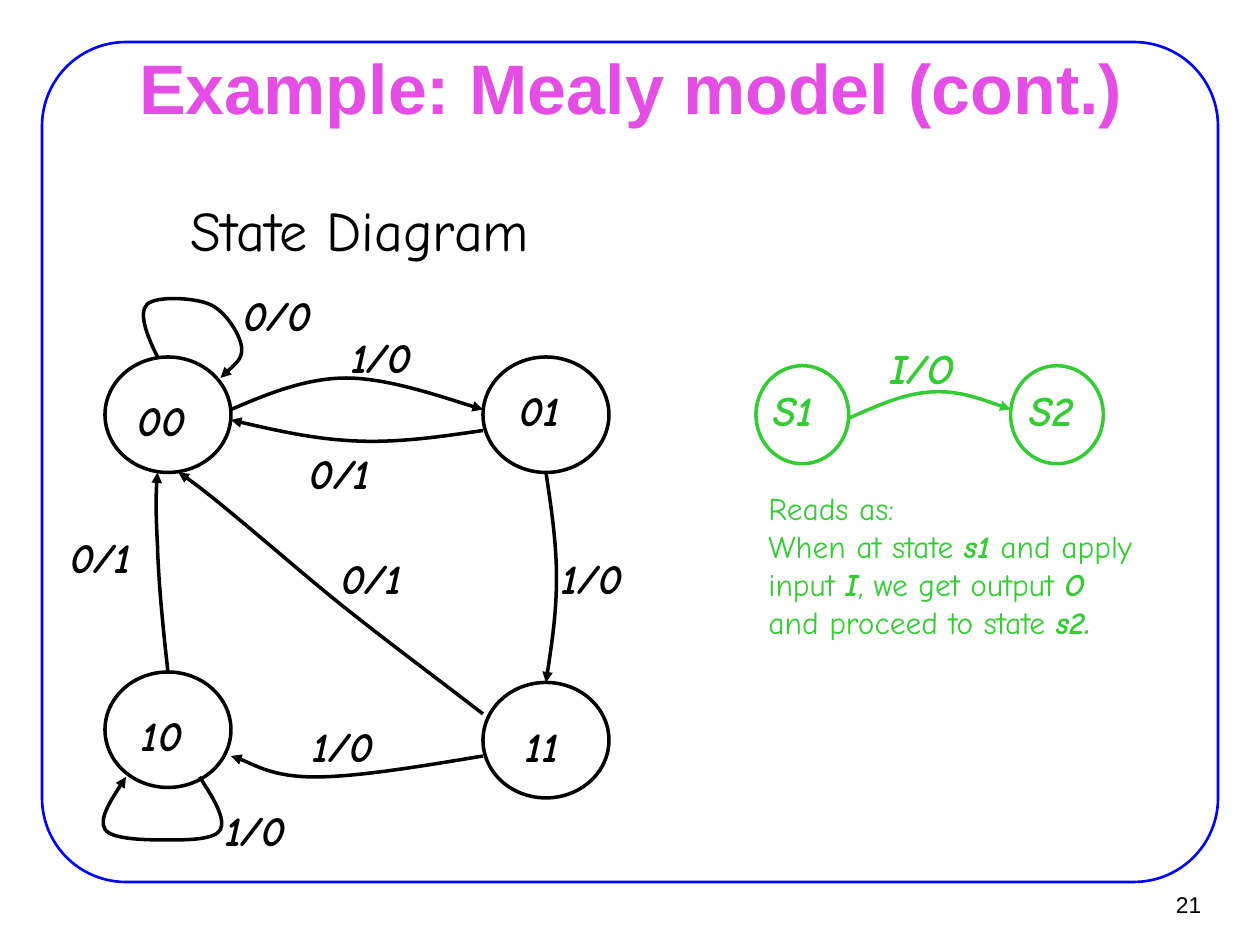
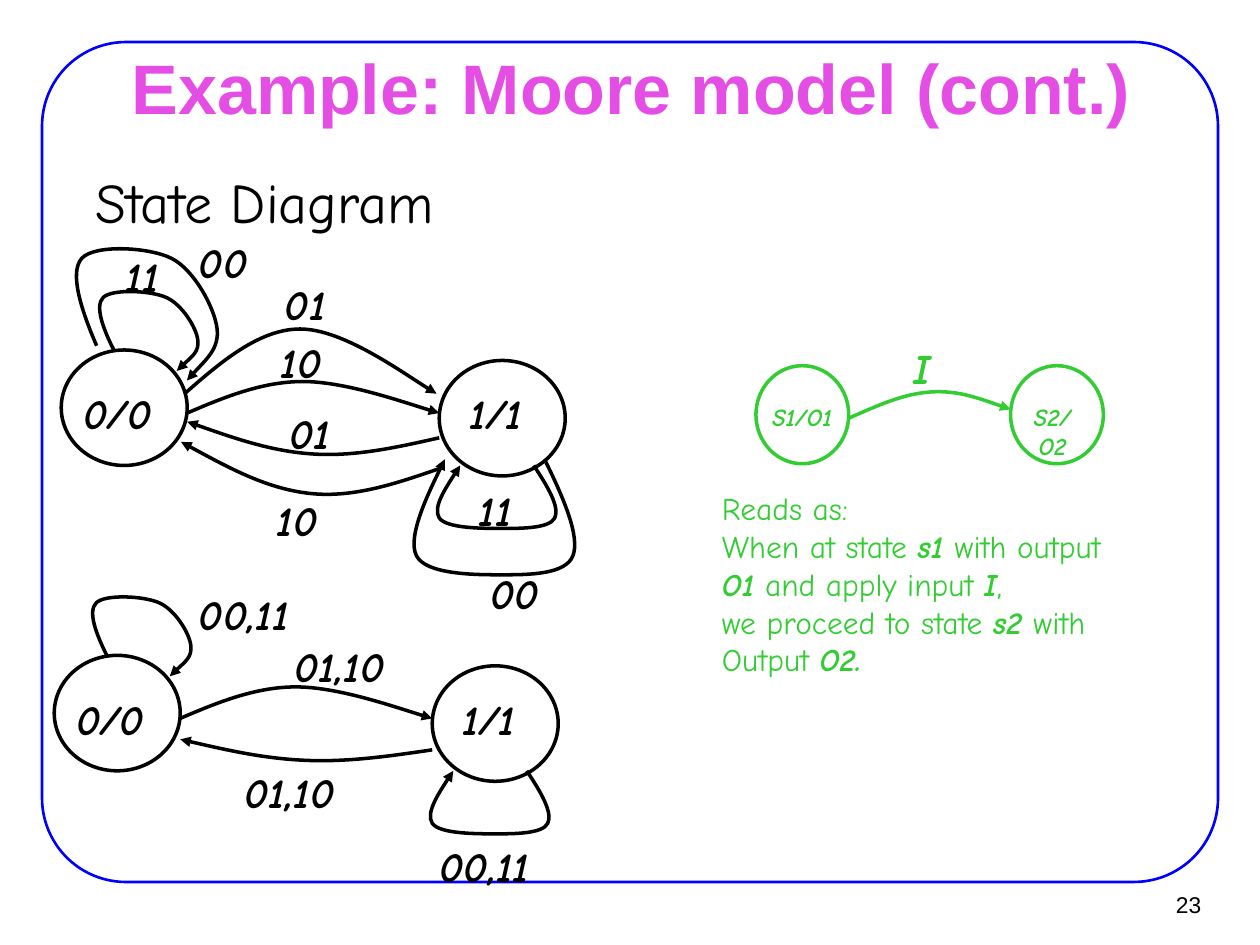
from pptx import Presentation
from pptx.dml.color import RGBColor
from pptx.enum import shapes as kinds, text as styles
from pptx.oxml import ns
from pptx.util import Pt

BLACK = RGBColor(0x00, 0x00, 0x00)
BLUE = RGBColor(0x00, 0x00, 0xFF)
GREEN = RGBColor(0x33, 0xCC, 0x33)
PINK = RGBColor(0xE4, 0x4E, 0xE4)
SANS = "Arial"
HAND = "Comic Neue"

STATE = (72, 66)  # width and height of a state circle

# Bezier outlines: a start, then three points for each curve.
# They are scaled to the width and height asked for.
LOOP_UP = [(11, 35), (5, 23), (0, 10), (5, 5), (10, 0), (32, 1), (41, 5),
           (50, 9), (58, 22), (59, 29), (60, 36), (53, 41), (47, 47)]
LOOP_DOWN = [(58, 0), (66, 12), (73, 24), (70, 30), (67, 36), (51, 36), (40, 36),
             (29, 36), (8, 36), (4, 30), (0, 24), (12, 6), (16, 0)]
ARC = [(0, 18), (21, 9), (43, 0), (66, 0), (90, 0), (130, 14), (144, 18)]
BACK = [(144, 6), (120, 9.5), (96, 13), (72, 12), (48, 11), (24, 5.5), (0, 0)]
HOP = [(0, 16), (16, 9), (31, 2), (47, 1), (62, 0), (77, 5.5), (92.5, 11)]
BOW = [(0, 0), (3, 20), (6, 40), (6, 60), (6, 80), (3, 100), (0, 120)]
SLANT = [(174, 138), (149.5, 119), (125, 101), (96, 78), (67, 55), (18, 11), (0, 0)]
DIP = [(144, 0), (108, 6), (72, 12), (48, 12), (24, 12), (8, 2), (0, 0)]
RISE = [(7, 114), (4, 88), (1.5, 61), (1, 42), (0, 23), (0, 11), (1, 0)]


def ink(shape, color, width):
    shape.shadow.inherit = False
    shape.fill.background()
    shape.line.color.rgb = color
    shape.line.width = Pt(width)


def outline(slide, kind, box, color=BLACK, width=2):
    shape = slide.shapes.add_shape(kind, *map(Pt, box))
    ink(shape, color, width)
    return shape


def circle(slide, x, y, size=STATE, color=BLACK):
    outline(slide, kinds.MSO_SHAPE.OVAL, (x, y, *size), color)


def curve(slide, design, x, y, width, height, color=BLACK):
    """Draw a Bezier arrow, scaled to fill the box."""
    across = width / max(px for px, _ in design)
    down = height / max(py for _, py in design)
    dots = [(Pt(x + px * across), Pt(y + py * down)) for px, py in design]
    maker = slide.shapes.build_freeform(*dots[0])
    maker.add_line_segments(dots[1:], close=False)
    shape = maker.convert_to_shape()
    ink(shape, color, 2)

    # Join every three straight segments into one cubic curve
    track = next(shape.element.iter(ns.qn("a:path")))
    steps = track.findall(ns.qn("a:lnTo"))
    for i in range(0, len(steps), 3):
        cubic = track.makeelement(ns.qn("a:cubicBezTo"), {})
        steps[i].addprevious(cubic)
        for step in steps[i:i + 3]:
            cubic.append(step[0])
            track.remove(step)

    line = shape.element.spPr.find(ns.qn("a:ln"))
    line.append(line.makeelement(ns.qn("a:tailEnd"), {"type": "triangle"}))


def style(para, size, color, name=HAND, bold=False, italic=False):
    font = para.font
    font.name, font.size, font.color.rgb = name, Pt(size), color
    font.bold, font.italic = bold, italic


def textbox(slide, box, wrap=True):
    frame = slide.shapes.add_textbox(*map(Pt, box)).text_frame
    frame.word_wrap = wrap
    frame.auto_size = styles.MSO_AUTO_SIZE.SHAPE_TO_FIT_TEXT
    return frame


def label(slide, word, mid, top, color=BLACK, size=24):
    """Write a bold italic word centred on mid."""
    width = (16 + 14 * len(word)) * size / 24
    frame = textbox(slide, (mid - width / 2, top, width, size * 1.5), wrap=False)
    para = frame.paragraphs[0]
    para.text = word
    para.alignment = styles.PP_ALIGN.CENTER
    style(para, size, color, bold=True, italic=True)


def labels(slide, x, y, items):
    for word, mid, top in items:
        label(slide, word, x + mid, y + top)


def heading(slide, x, y):
    para = textbox(slide, (x, y, 288, 52)).paragraphs[0]
    para.text = "State Diagram"
    style(para, 32, BLACK)


def base(deck, title, number):
    """Add a slide with its frame, title and page number."""
    slide = deck.slides.add_slide(deck.slide_layouts[5])
    frame = outline(slide, kinds.MSO_SHAPE.ROUNDED_RECTANGLE,
                    (24, 24, 672, 480), BLUE, 1.5)
    frame.adjustments[0] = 0.1

    head = slide.shapes.title
    head.left, head.top, head.width, head.height = map(Pt, (54.5, 31.5, 612, 35.5))
    body = head.text_frame
    body.text = title
    body.auto_size = styles.MSO_AUTO_SIZE.NONE
    body.vertical_anchor = styles.MSO_ANCHOR.MIDDLE
    body.margin_left = body.margin_right = Pt(8)
    body.margin_top = body.margin_bottom = Pt(4)
    body.paragraphs[0].alignment = styles.PP_ALIGN.CENTER
    style(body.paragraphs[0], 40, PINK, SANS, bold=True)

    page = textbox(slide, (649.5, 503, 44, 27), wrap=False)
    page.auto_size = styles.MSO_AUTO_SIZE.NONE
    page.vertical_anchor = styles.MSO_ANCHOR.MIDDLE
    page.paragraphs[0].text = str(number)
    page.paragraphs[0].alignment = styles.PP_ALIGN.RIGHT
    style(page.paragraphs[0], 13, BLACK, SANS)
    return slide


def legend(slide, x, y, edge, names, size, drop):
    """Draw the green key: two states and the arrow between them."""
    for left in (0, 145.5):
        circle(slide, x + left, y, (53, 56), GREEN)
    curve(slide, HOP, x + 53, y + 14, 92.5, 16, GREEN)
    label(slide, edge, x + 95, y - 17, GREEN)
    for word, mid in names:
        label(slide, word, x + mid, y + drop, GREEN, size)


def note(slide, x, y, width, lines):
    """Write green lines, with the parts between stars in bold italic."""
    frame = textbox(slide, (x, y, width, 7 + 21.6 * len(lines)))
    for i, words in enumerate(lines):
        para = frame.add_paragraph() if i else frame.paragraphs[0]
        style(para, 18, GREEN)
        for j, part in enumerate(words.split("*")):
            if part:
                run = para.add_run()
                run.text = part
                if j % 2:
                    run.font.bold = run.font.italic = True


def mealy(slide, x, y):
    """Draw the four states, with the first one at x, y."""
    for left, top in ((0, 0), (216, 0), (216, 186), (0, 180)):
        circle(slide, x + left, y + top)
    for design, left, top, width, height in (
            (LOOP_UP, 19, -35, 60, 47),
            (ARC, 72, 12, 144, 18),
            (BACK, 72, 36, 144, 13),
            (BOW, 252, 66, 6, 120),
            (SLANT, 42, 66, 174, 138),
            (DIP, 72, 228, 144, 12),
            (RISE, 29, 66, 7, 114),
            (LOOP_DOWN, -4, 240, 73, 36)):
        curve(slide, design, x + left, y + top, width, height)
    labels(slide, x, y, (
        ("00", 32.5, 18), ("01", 248.5, 12), ("11", 250, 204), ("10", 32.5, 198),
        ("0/0", 98.5, -42), ("1/0", 158, -18), ("0/1", 134.5, 48),
        ("1/0", 278.5, 108), ("0/1", 152.5, 108), ("1/0", 136, 204),
        ("0/1", -2.5, 96), ("1/0", 86, 252)))


def moore(slide, x, y, back, depth, edges):
    """Draw two states, a loop on each, and arrows both ways."""
    circle(slide, x, y)
    circle(slide, x + 216, y + 6)
    curve(slide, LOOP_UP, x + 19, y - 35, 60, 47)
    curve(slide, LOOP_DOWN, x + 212, y + 66, 73, 36)
    curve(slide, ARC, x + 72, y + 18, 144, 18)
    curve(slide, BACK, x + 72, y + back, 144, depth)
    labels(slide, x, y, (("0/0", 32, 18), ("1/1", 248.5, 18), *edges))


def split(slide, x, y):
    """Draw the Moore diagram with one arrow for each input."""
    moore(slide, x, y, 41, 20, (
        ("00", 92.5, -68.5), ("11", 46.5, -60.5), ("01", 139.5, -44.5),
        ("10", 137, -11), ("01", 142, 29.5), ("10", 135, 79),
        ("11", 248, 73.5), ("00", 259, 121)))
    curve(slide, LOOP_UP, x + 4.5, y - 60.5, 86, 78)
    curve(slide, LOOP_DOWN, x + 197.5, y + 62.5, 99, 66)
    curve(slide, ARC, x + 70.5, y - 12, 144, 37)
    curve(slide, BACK, x + 68.5, y + 52.5, 149, 32)


def merged(slide, x, y):
    """Draw the Moore diagram with shared arrows."""
    moore(slide, x, y, 48, 13, (
        ("00,11", 108.5, -42), ("01,10", 163, -12),
        ("01,10", 134.5, 60), ("00,11", 246, 102)))


def main():
    deck = Presentation()
    deck.slide_width, deck.slide_height = Pt(720), Pt(540)

    slide = base(deck, "Example: Mealy model (cont.)", 21)
    heading(slide, 102, 108)
    mealy(slide, 60, 204)
    legend(slide, 432, 209, "I/O", (("S1", 21.5), ("S2", 169)), 24, 7)
    note(slide, 432, 276, 250, (
        "Reads as:",
        "When at state *s1* and apply",
        "input *I*, we get output *O*",
        "and proceed to state *s2.*"))

    slide = base(deck, "Example: Moore model (cont.)", 23)
    heading(slide, 47.5, 92)
    split(slide, 35, 200)
    merged(slide, 31, 374.5)
    legend(slide, 432, 209, "I", (("S1/O1", 26.5), ("S2/O2", 169.5)), 14, 17)
    note(slide, 405.5, 276, 266, (
        "Reads as:",
        "When at state *s1 *with output",
        "*O1* and apply input *I*,",
        "we proceed to state *s2 *with",
        "Output *O2.*"))

    deck.save("out.pptx")


if __name__ == "__main__":
    main()
